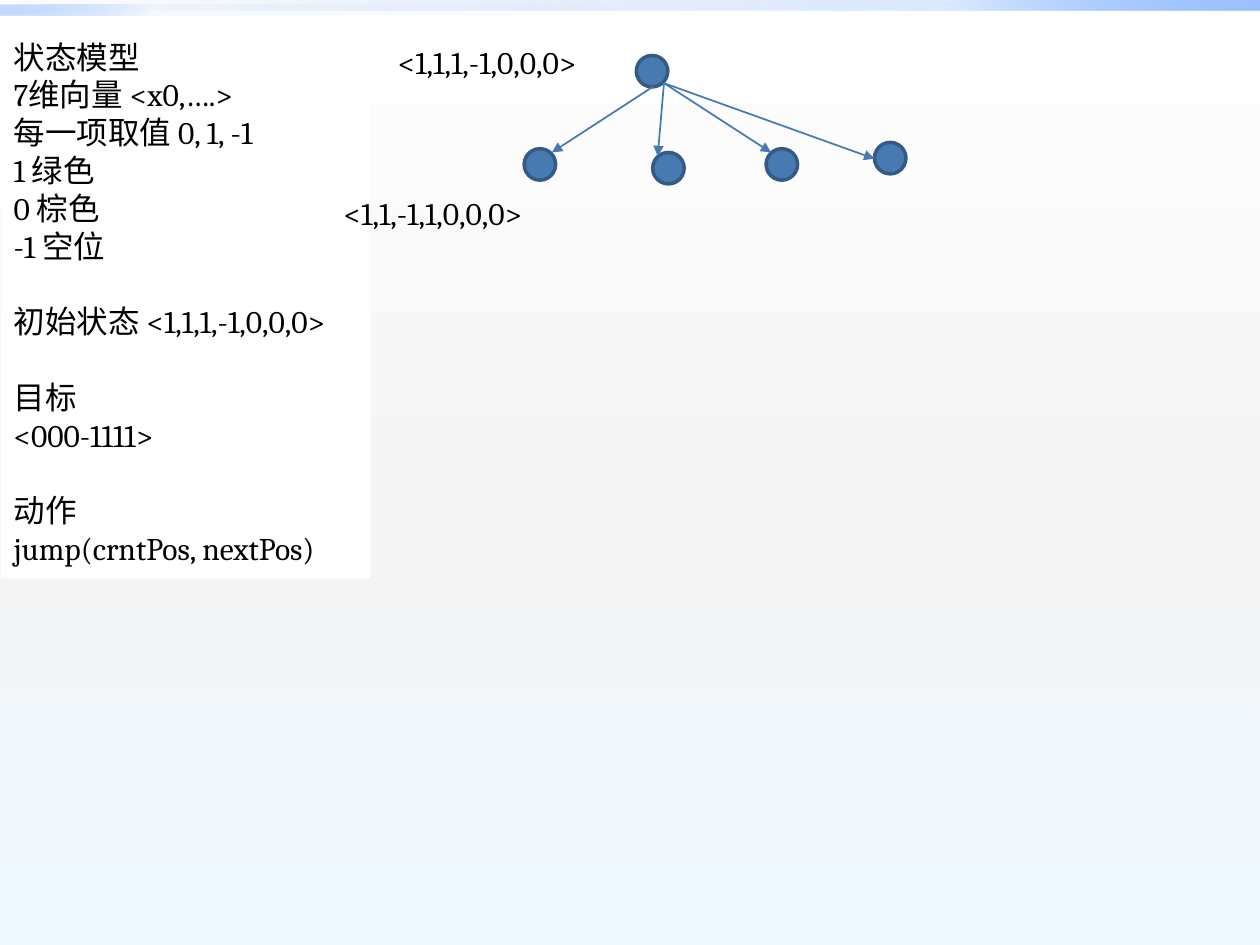
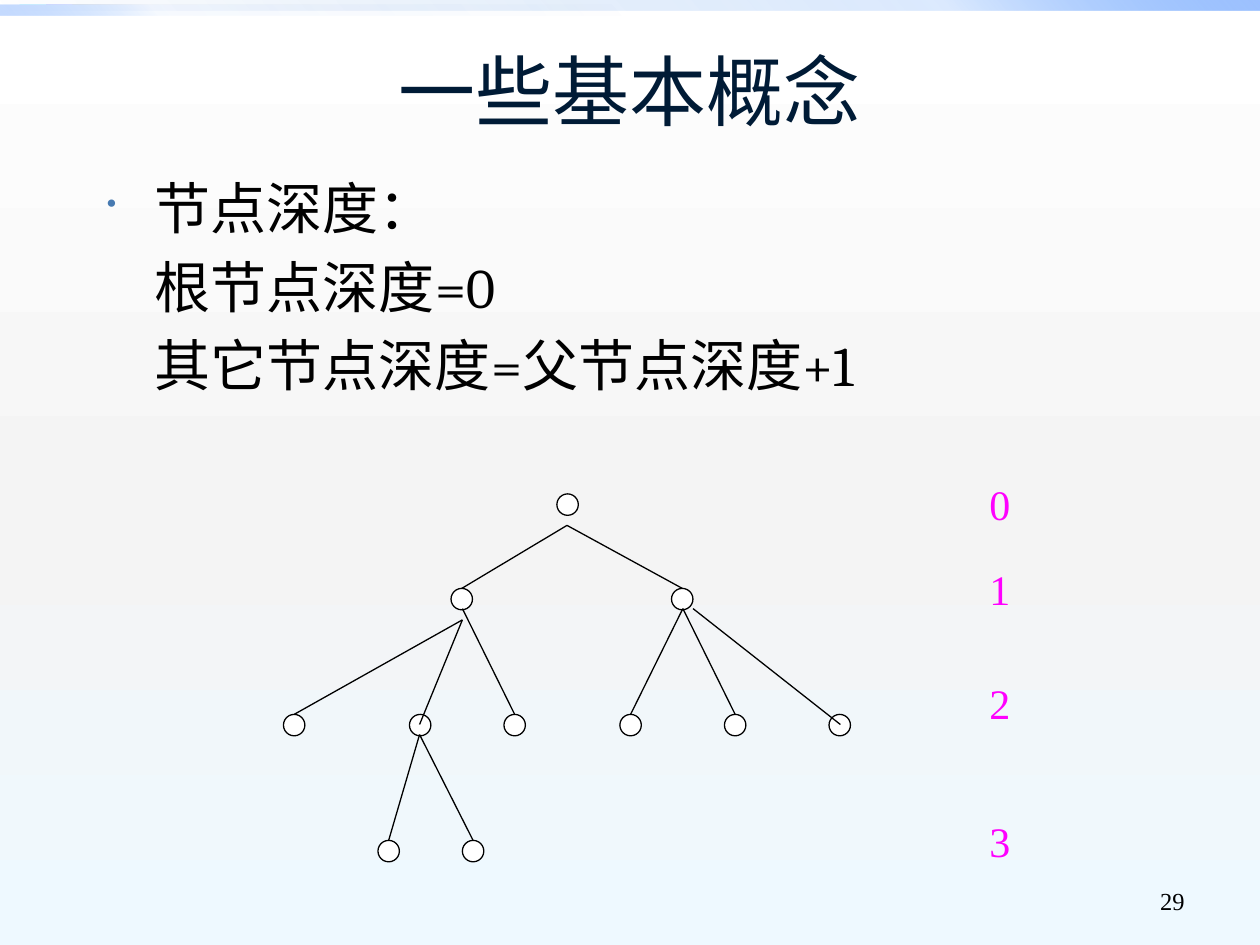
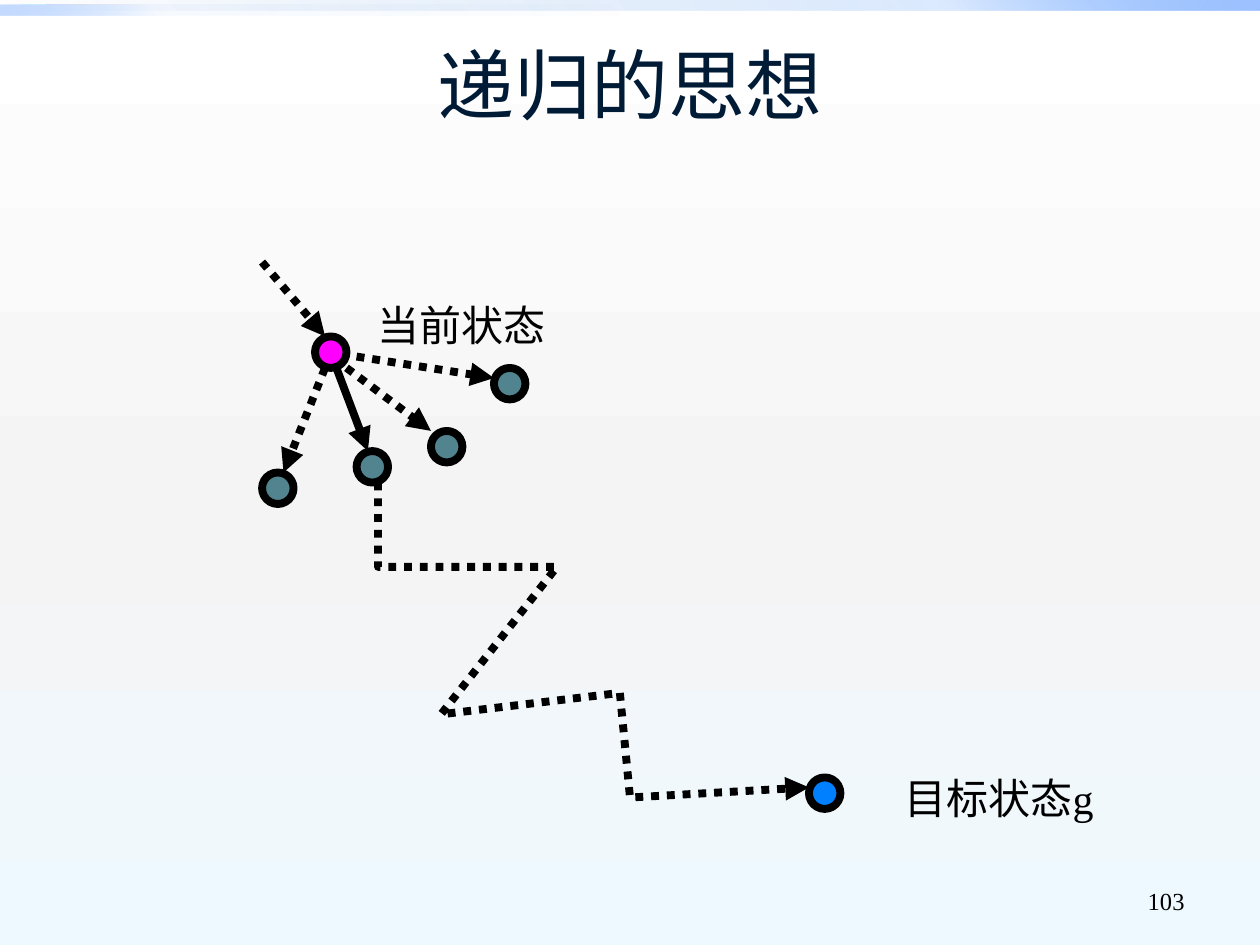
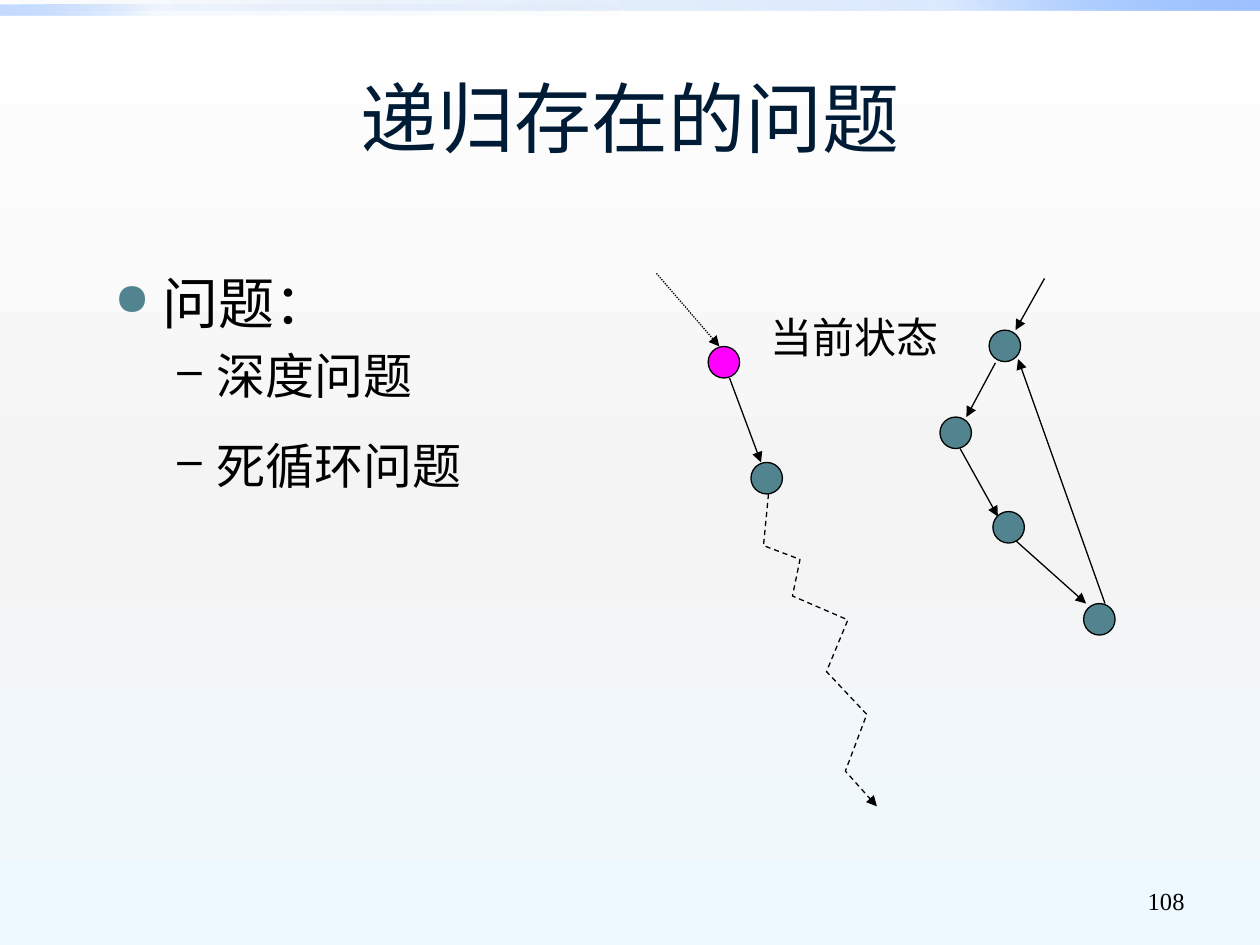
from dataclasses import dataclass

from lxml.etree import SubElement
from pptx import Presentation
from pptx.dml.color import RGBColor
from pptx.enum.dml import MSO_LINE
from pptx.enum.shapes import MSO_CONNECTOR, MSO_SHAPE
from pptx.enum.text import MSO_ANCHOR, MSO_AUTO_SIZE, PP_ALIGN
from pptx.oxml.ns import qn
from pptx.util import Inches, Pt

TITLE_ONLY, BLANK = 5, 6


@dataclass(frozen=True)
class Theme:
    black: str = "000000"
    white: str = "FFFFFF"
    title_ink: str = "001B36"
    blue: str = "477AB1"
    blue_edge: str = "355A83"
    magenta: str = "FF00FF"
    teal: str = "51848E"
    goal_blue: str = "0080FF"
    # gradient stops: position %, colour, opacity %
    page: tuple = ((0, "FFFFFF", 100), (55, "F4F4F4", 100), (100, "EEF9FF", 100))
    wide_band: tuple = ((0, "0058B7", 0), (75, "4F95FF", 20), (100, "9EC2FF", 100))
    half_band: tuple = ((0, "0058B7", 0), (75, "4F95FF", 5), (100, "9EC2FF", 60))
    title_font: str = "Calibri"
    body_font: str = "Cambria"
    label_font: str = "Times New Roman"
    title_size: int = 44
    body_size: int = 32
    sub_size: int = 28
    label_size: int = 24
    note_size: int = 18
    number_size: int = 14
    thin: float = 0.75
    thick: float = 4.5


def inches(*values):
    return [Inches(value) for value in values]


def rgb(code):
    return RGBColor.from_string(code)


class Deck:
    def __init__(self, theme):
        self.theme = theme
        self.prs = Presentation()
        self.prs.slide_width, self.prs.slide_height = inches(10, 7.5)
        self.slide = self.shapes = None

    def gradient(self, fill, owner, stops, angle):
        """Fill with any number of stops; owner is the element that holds the fill."""
        fill.gradient()
        grad = owner.find(".//" + qn("a:gradFill"))
        stop_list = grad.find(qn("a:gsLst"))
        for old in list(stop_list):
            stop_list.remove(old)
        for position, color, opacity in stops:
            stop = SubElement(stop_list, qn("a:gs"), pos=str(position * 1000))
            ink = SubElement(stop, qn("a:srgbClr"), val=color)
            if opacity < 100:
                SubElement(ink, qn("a:alpha"), val=str(opacity * 1000))
        grad.find(qn("a:lin")).set("ang", str(angle * 60000))

    def dress_master(self):
        """Give the master its background and two top bands, drawn on the current slide and moved."""
        master = self.prs.slide_master
        self.gradient(master.background.fill, master.element, self.theme.page, 90)
        bands = (((0, 0, 10, 0.08), self.theme.wide_band, 315),
                 ((0, 0.04, 5, 0.08), self.theme.half_band, 135))
        for order, (box, stops, angle) in enumerate(bands):
            band = self.shapes.add_shape(MSO_SHAPE.RECTANGLE, *inches(*box))
            band.shadow.inherit = False
            band.line.fill.background()
            self.gradient(band.fill, band.element, stops, angle)
            band.element.nvSpPr.cNvPr.set("id", str(101 + order))
            master.shapes.element.insert(2 + order, band.element)

    def new_slide(self, title=None, title_box=None, number=None):
        layout = self.prs.slide_layouts[BLANK if title is None else TITLE_ONLY]
        self.slide = self.prs.slides.add_slide(layout)
        self.shapes = self.slide.shapes
        t = self.theme
        if title:
            heading = self.shapes.title
            heading.left, heading.top, heading.width, heading.height = inches(*title_box)
            heading.text_frame.vertical_anchor = MSO_ANCHOR.MIDDLE
            self.set_lines(heading, [title], t.title_font, t.title_size, t.title_ink,
                           PP_ALIGN.CENTER)
        if number:
            corner = self.shapes.add_textbox(*inches(7.17, 6.95, 2.33, 0.4))
            corner.text_frame.word_wrap = True
            corner.text_frame.vertical_anchor = MSO_ANCHOR.MIDDLE
            self.set_lines(corner, [number], t.label_font, t.number_size,
                           align=PP_ALIGN.RIGHT)

    def start_group(self):
        self.shapes = self.slide.shapes.add_group_shape().shapes

    def end_group(self):
        self.shapes = self.slide.shapes

    def set_lines(self, shape, lines, font, size, color=None, align=PP_ALIGN.LEFT):
        frame = shape.text_frame
        frame.text = "\n".join(lines)
        for paragraph in frame.paragraphs:
            paragraph.alignment = align
            for run in paragraph.runs:
                run.font.name, run.font.size = font, Pt(size)
                run.font.color.rgb = rgb(color or self.theme.black)
        return frame.paragraphs

    def panel(self, box, sections):
        """White panel of text sections, one empty line's height apart."""
        t = self.theme
        panel = self.shapes.add_shape(MSO_SHAPE.RECTANGLE, *inches(*box))
        panel.shadow.inherit = False
        panel.fill.solid()
        panel.fill.fore_color.rgb = rgb(t.white)
        panel.line.fill.background()
        panel.text_frame.vertical_anchor = MSO_ANCHOR.TOP
        lines = [line for section in sections for line in section]
        paragraphs = self.set_lines(panel, lines, t.body_font, t.note_size)
        first = 0
        for section in sections[:-1]:
            first += len(section)
            paragraphs[first].space_before = Pt(1.2 * t.note_size)

    def label(self, text, box, font=None, size=None, color=None, align=PP_ALIGN.CENTER):
        t = self.theme
        label = self.shapes.add_textbox(*inches(*box))
        frame = label.text_frame
        frame.word_wrap = False
        frame.auto_size = MSO_AUTO_SIZE.SHAPE_TO_FIT_TEXT
        frame.vertical_anchor = MSO_ANCHOR.MIDDLE
        self.set_lines(label, [text], font or t.label_font, size or t.label_size, color, align)

    def outline(self, box, font, items):
        """Items are (text, size, level, indent, hanging, bullet, space before);
        a bullet is (character, colour, size %) or None."""
        area = self.shapes.add_textbox(*inches(*box))
        area.text_frame.word_wrap = True
        paragraphs = self.set_lines(area, [item[0] for item in items], font,
                                    self.theme.body_size)
        for paragraph, item in zip(paragraphs, items):
            _, size, level, indent, hanging, bullet, before = item
            paragraph.level = level
            if before:
                paragraph.space_before = Pt(before)
            props = paragraph._p.get_or_add_pPr()
            props.set("marL", str(Inches(indent)))
            props.set("indent", str(-Inches(hanging)))
            if bullet:
                mark, color, percent = bullet
                tint = SubElement(props, qn("a:buClr"))
                SubElement(tint, qn("a:srgbClr"), val=color)
                SubElement(props, qn("a:buSzPct"), val=str(percent * 1000))
                SubElement(props, qn("a:buChar"), char=mark)
            else:
                SubElement(props, qn("a:buNone"))
            for run in paragraph.runs:
                run.font.size = Pt(size)

    def node(self, left, top, fill, size=0.25, edge=None, weight=None):
        node = self.shapes.add_shape(MSO_SHAPE.OVAL, *inches(left, top, size, size))
        node.shadow.inherit = False
        node.fill.solid()
        node.fill.fore_color.rgb = rgb(fill)
        self.stroke(node, edge, weight)
        return node

    def stroke(self, shape, color=None, weight=None, dash=None, arrow=False):
        shape.line.color.rgb = rgb(color or self.theme.black)
        shape.line.width = Pt(weight or self.theme.thin)
        if dash:
            shape.line.dash_style = dash
        if arrow:
            SubElement(shape.line._get_or_add_ln(), qn("a:tailEnd"), type="triangle")

    def edge(self, start, end, color=None, weight=None, dash=None, arrow=True):
        edge = self.shapes.add_connector(MSO_CONNECTOR.STRAIGHT, *inches(*start, *end))
        self.stroke(edge, color, weight, dash, arrow)
        SubElement(edge.element.spPr, qn("a:effectLst"))
        return edge

    def route(self, points, weight, dash):
        """Open zigzag that ends in an arrowhead."""
        start, *rest = [inches(*point) for point in points]
        builder = self.shapes.build_freeform(*start)
        builder.add_line_segments(rest, close=False)
        route = builder.convert_to_shape()
        route.shadow.inherit = False
        route.fill.background()
        self.stroke(route, weight=weight, dash=dash, arrow=True)


def state_model(deck):
    t = deck.theme
    deck.new_slide()
    deck.dress_master()
    deck.panel((0.01, 0.25, 2.93, 4.34), [
        ["状态模型", "7维向量 <x0,….>", "每一项取值 0, 1, -1", "1 绿色", "0 棕色", "-1 空位"],
        ["初始状态 <1,1,1,-1,0,0,0>"],
        ["目标", "<000-1111>"],
        ["动作", "jump(crntPos, nextPos)"],
    ])
    for left, top in ((5.05, 0.44), (4.16, 1.18), (6.08, 1.18), (5.18, 1.21), (6.94, 1.13)):
        deck.node(left, top, t.blue, edge=t.blue_edge, weight=2)
    for state, left, top in (("<1,1,1,-1,0,0,0>", 3.06, 0.29), ("<1,1,-1,1,0,0,0>", 2.63, 1.49)):
        deck.label(state, (left, top, 1.86, 0.4), t.body_font, t.note_size,
                   align=PP_ALIGN.LEFT)
    deck.edge((5.18, 0.69), (4.38, 1.21), t.blue, 1)
    for child in ((5.22, 1.24), (6.12, 1.21), (6.94, 1.26)):
        deck.edge((5.27, 0.66), child, t.blue, 1)


def node_depth(deck):
    t = deck.theme
    deck.new_slide("一些基本概念", (0.75, 0.25, 8.5, 0.92), "29")
    gap = 0.2 * t.body_size
    deck.outline((0.75, 1.33, 8.5, 5.33), t.body_font, [
        ("节点深度：", t.body_size, 0, 0.38, 0.38, ("•", t.blue, 50), 0),
        ("根节点深度=0", t.body_size, 0, 0.38, 0, None, gap),
        ("其它节点深度=父节点深度+1", t.body_size, 0, 0.38, 0, None, gap),
    ])
    node_size = 0.17
    levels = (  # node top, label top, node lefts
        (3.92, 3.75, (4.42,)),
        (4.67, 4.42, (3.58, 5.33)),
        (5.67, 5.33, (2.25, 3.25, 4, 4.92, 5.75, 6.58)),
        (6.67, 6.42, (3, 3.67)),
    )
    tree = []
    for depth, (top, label_top, lefts) in enumerate(levels):
        tree.append([deck.node(left, top, t.white, node_size) for left in lefts])
        deck.label(str(depth), (7.75, label_top, 0.37, 0.5), color=t.magenta)
    branches = (  # start, depth of child, child's place in its level
        ((4.5, 4.17), 1, 0), ((4.5, 4.17), 1, 1),
        ((3.67, 4.92), 2, 0), ((3.67, 4.83), 2, 2),
        ((5.42, 4.83), 2, 3), ((5.42, 4.83), 2, 4),
        ((3.33, 5.83), 3, 0), ((3.33, 5.83), 3, 1),
    )
    for start, depth, place in branches:
        deck.edge(start, start, arrow=False).end_connect(tree[depth][place], 0)
    for start, centre in (((3.67, 4.92), (3.33, 5.75)), ((5.5, 4.83), (6.67, 5.75))):
        deck.edge(start, centre, arrow=False)


def recursion_idea(deck):
    t = deck.theme
    deck.new_slide("递归的思想", (0.75, 0.25, 8.5, 0.83), "103")
    deck.node(2.5, 2.67, t.magenta, weight=t.thick)
    deck.node(6.42, 6.17, t.goal_blue, weight=t.thick)
    for left, top in ((2.83, 3.58), (3.42, 3.42), (2.08, 3.75), (3.92, 2.92)):
        deck.node(left, top, t.teal, weight=t.thick)
    deck.label("当前状态", (2.9, 2.33, 1.53, 0.5))
    deck.label("目标状态g", (7.08, 6.08, 1.7, 0.5))
    deck.edge((2.67, 2.92), (2.92, 3.58), weight=t.thick)
    deck.route([(3, 3.83), (3, 4.5), (4.42, 4.5), (3.5, 5.67), (4.92, 5.5), (5, 6.33),
                (6.42, 6.25)], t.thick, MSO_LINE.ROUND_DOT)
    for start, end in (((2.58, 2.92), (2.25, 3.75)), ((2.75, 2.92), (3.42, 3.42)),
                       ((2.83, 2.83), (3.92, 3)), ((2.08, 2.08), (2.58, 2.67))):
        deck.edge(start, end, weight=t.thick, dash=MSO_LINE.ROUND_DOT)


def recursion_problems(deck):
    t = deck.theme
    deck.new_slide("递归存在的问题", (0.5, 0.3, 9, 1.25), "108")

    deck.start_group()
    deck.node(5.62, 2.75, t.magenta)
    deck.node(5.96, 3.67, t.teal)
    deck.label("当前状态", (6.02, 2.42, 1.53, 0.5))
    deck.edge((5.79, 3), (6.04, 3.67))
    deck.edge((5.21, 2.17), (5.71, 2.75), dash=MSO_LINE.ROUND_DOT)
    deck.route([(6.1, 3.92), (6.06, 4.33), (6.35, 4.44), (6.29, 4.73), (6.73, 4.92),
                (6.56, 5.33), (6.88, 5.67), (6.71, 6.12), (6.96, 6.4)],
               t.thin, MSO_LINE.DASH)

    deck.start_group()
    for left, top in ((7.85, 2.62), (7.46, 3.31), (7.88, 4.06), (8.6, 4.79)):
        deck.node(left, top, t.teal)
    for start, end in (((8.29, 2.21), (8.06, 2.62)), ((7.9, 2.88), (7.67, 3.31)),
                       ((7.62, 3.56), (7.92, 4.1)), ((8.06, 4.29), (8.62, 4.79)),
                       ((8.77, 4.79), (8.08, 2.85))):
        deck.edge(start, end)
    deck.end_group()

    dash = ("–", t.black, 90)
    deck.outline((0.81, 2.08, 8.5, 2.02), t.label_font, [
        ("问题：", t.body_size, 0, 0.38, 0.38, ("●", t.teal, 80), 0),
        ("深度问题", t.sub_size, 1, 0.81, 0.31, dash, 0.2 * t.sub_size),
        ("死循环问题", t.sub_size, 1, 0.81, 0.31, dash, 18),
    ])


def main():
    deck = Deck(Theme())
    for build in (state_model, node_depth, recursion_idea, recursion_problems):
        build(deck)
    deck.prs.save("out.pptx")


if __name__ == "__main__":
    main()
